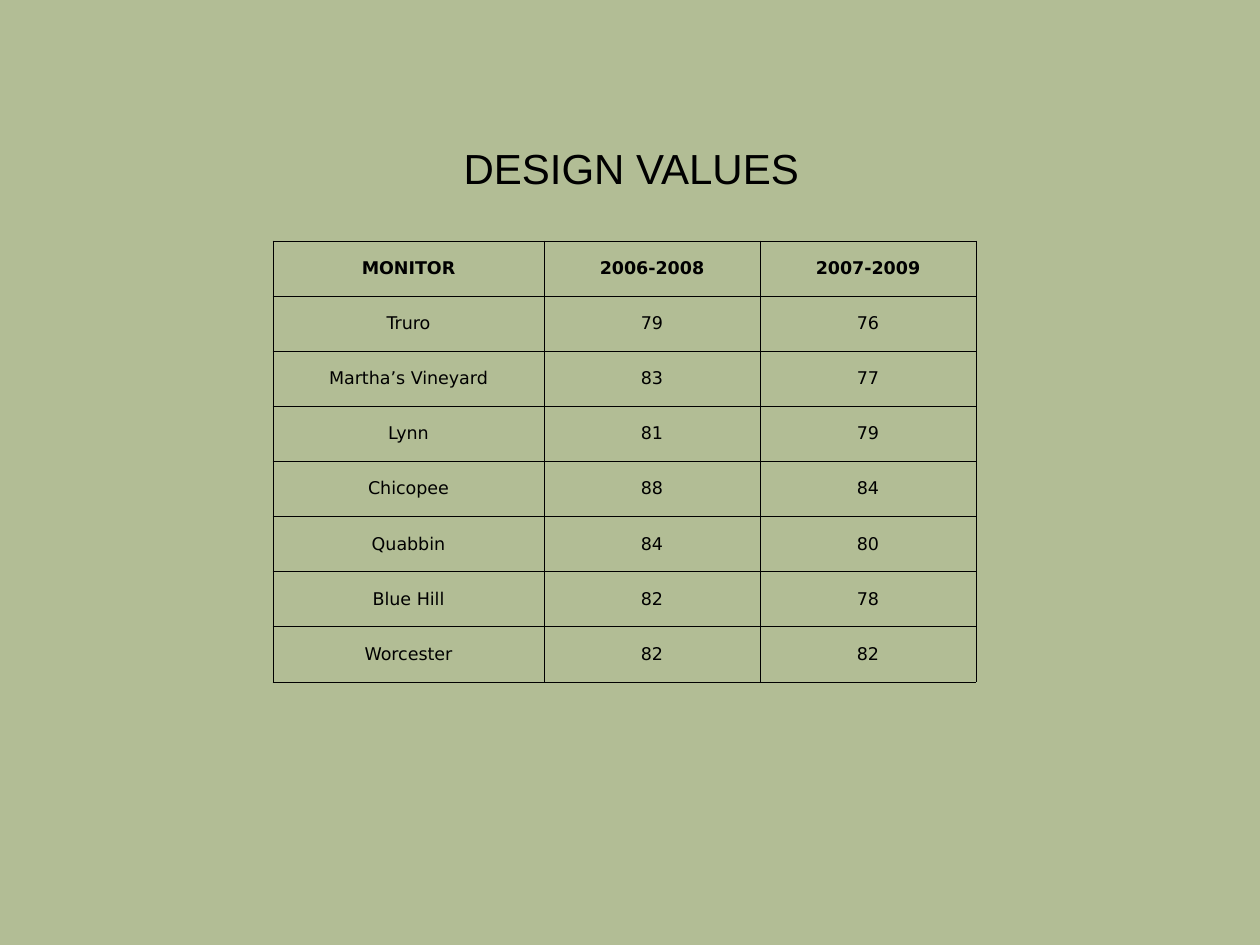
from dataclasses import dataclass

from lxml.etree import SubElement as Sub
from pptx import Presentation
from pptx.dml.color import RGBColor as Rgb
from pptx.enum.text import MSO_ANCHOR as Anchor, MSO_AUTO_SIZE as Auto, PP_ALIGN as Align
from pptx.oxml.ns import qn
from pptx.util import Emu, Pt

SCALE = 914400 / 126


@dataclass(frozen=True)
class Theme:
    back: str = "B2BD95"
    ink: str = "000000"
    head: str = "Arial"
    body: str = "DejaVu Sans"
    large: int = 24
    small: int = 10
    rule: float = 0.45


THEME = Theme()
TITLE_BOX = (451, 136, 431, 63)
TABLE_BOX = (273, 241, 703, 441)
COLS = (271, 216, 216)
ROWS = (
    ("MONITOR", "2006-2008", "2007-2009"),
    ("Truro", "79", "76"),
    ("Martha’s Vineyard", "83", "77"),
    ("Lynn", "81", "79"),
    ("Chicopee", "88", "84"),
    ("Quabbin", "84", "80"),
    ("Blue Hill", "82", "78"),
    ("Worcester", "82", "82"),
)


def px(size):
    return Emu(round(size * SCALE))


def apply(item, values):
    for name, value in values.items():
        setattr(item, name, value)


def write(frame, text, align, font):
    para = frame.paragraphs[0]
    para.alignment = align
    run = para.add_run()
    run.text = text
    apply(run.font, font)
    run.font.color.rgb = Rgb.from_string(THEME.ink)


def add_title(slide, text):
    title = slide.shapes.title
    apply(title, dict(zip(("left", "top", "width", "height"), map(px, TITLE_BOX))))
    frame = title.text_frame
    apply(frame, {
        "word_wrap": True,
        "auto_size": Auto.NONE,
        "vertical_anchor": Anchor.TOP,
    })
    write(frame, text, Align.LEFT, {"name": THEME.head, "size": Pt(THEME.large)})


def add_rules(cell):
    props = cell._tc.get_or_add_tcPr()
    for side in ("lnL", "lnR", "lnT", "lnB"):
        line = Sub(props, qn(f"a:{side}"), w=str(Pt(THEME.rule)))
        fill = Sub(line, qn("a:solidFill"))
        Sub(fill, qn("a:srgbClr"), val=THEME.ink)


def fill_cell(cell, text, bold):
    add_rules(cell)
    cell.fill.background()
    cell.vertical_anchor = Anchor.MIDDLE
    font = {"name": THEME.body, "size": Pt(THEME.small), "bold": bold}
    write(cell.text_frame, text, Align.CENTER, font)


def add_grid(slide, rows):
    table = slide.shapes.add_table(len(rows), len(COLS), *map(px, TABLE_BOX)).table
    apply(table, {"first_row": False, "horz_banding": False})
    for col, width in zip(table.columns, COLS):
        col.width = px(width)
    for r, row in enumerate(rows):
        for c, text in enumerate(row):
            fill_cell(table.cell(r, c), text, r == 0)


def main():
    deck = Presentation()
    apply(deck, {"slide_width": px(1260), "slide_height": px(945)})
    slide = deck.slides.add_slide(deck.slide_layouts[5])
    back = slide.background.fill
    back.solid()
    back.fore_color.rgb = Rgb.from_string(THEME.back)
    add_grid(slide, ROWS)
    add_title(slide, "DESIGN VALUES")
    deck.save("out.pptx")


if __name__ == "__main__":
    main()
